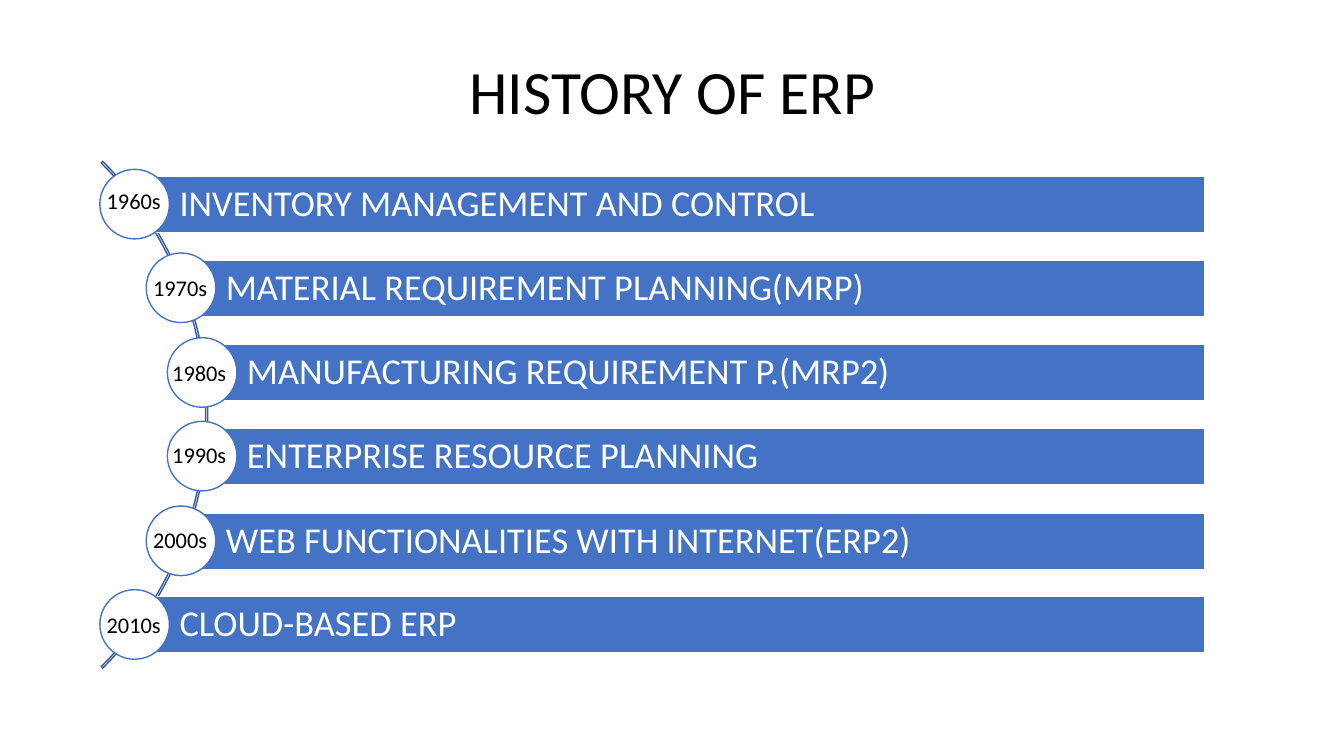
import pptx
import pptx.util
import pptx.dml.color
import pptx.enum.shapes
import pptx.enum.text

PX = 9144  # EMU per px, 100 px to the inch
KIND = pptx.enum.shapes.MSO_SHAPE
ALIGN = pptx.enum.text.PP_ALIGN
MIDDLE = pptx.enum.text.MSO_ANCHOR.MIDDLE
TOP = pptx.enum.text.MSO_ANCHOR.TOP
THEME = {
    "font": "Calibri",
    "blue": pptx.dml.color.RGBColor.from_string("4472C4"),
    "navy": pptx.dml.color.RGBColor.from_string("365B9D"),
    "white": pptx.dml.color.RGBColor.from_string("FFFFFF"),
    "black": pptx.dml.color.RGBColor.from_string("000000"),
    "title": 44,
    "body": 26,
    "year": 16,
}

deck = pptx.Presentation()
deck.slide_width = 1333 * PX
deck.slide_height = 750 * PX
slide = deck.slides.add_slide(deck.slide_layouts[6])


def draw(kind, box, fill, line):
    shape = slide.shapes.add_shape(kind, *[n * PX for n in box])
    shape.shadow.inherit = False
    if fill:
        shape.fill.solid()
        shape.fill.fore_color.rgb = THEME[fill]
    else:
        shape.fill.background()
    shape.line.color.rgb = THEME[line]
    shape.line.width = pptx.util.Pt(1)
    return shape


def write(shape, text, size, color, align=ALIGN.LEFT, anchor=MIDDLE, space=0.9):
    frame = shape.text_frame
    frame.word_wrap = True
    frame.vertical_anchor = anchor
    para = frame.paragraphs[0]
    para.alignment = align
    para.line_spacing = space
    run = para.add_run()
    run.text = text
    run.font.name = THEME["font"]
    run.font.size = pptx.util.Pt(THEME[size])
    run.font.color.rgb = THEME[color]
    return frame


title = slide.shapes.add_textbox(92 * PX, 40 * PX, 1150 * PX, 108 * PX)
write(title, "HISTORY OF ERP", "title", "black", ALIGN.CENTER)

arc = draw(KIND.BLOCK_ARC, (-505, 56, 711, 711), None, "navy")
for i, value in enumerate((189, 27, 0.003)):
    arc.adjustments[i] = value

# Year, stage, left edge of the bar, left and top of the year label
STAGES = [
    ("1960s", "INVENTORY MANAGEMENT AND CONTROL", 134, 96, 181),
    ("1970s", "MATERIAL REQUIREMENT PLANNING(MRP)", 180, 142, 267),
    ("1980s", "MANUFACTURING REQUIREMENT P.(MRP2)", 201, 161, 351),
    ("1990s", "ENTERPRISE RESOURCE PLANNING", 201, 161, 433),
    ("2000s", "WEB FUNCTIONALITIES WITH INTERNET(ERP2)", 180, 142, 517),
    ("2010s", "CLOUD-BASED ERP", 134, 96, 601),
]
FIRST, LAST = 175, 592
RIGHT = 1195

for i, (year, stage, left, x, y) in enumerate(STAGES):
    top = FIRST + round(i * (LAST - FIRST) / (len(STAGES) - 1))
    bar = draw(KIND.RECTANGLE, (left, top, RIGHT - left, 56), "blue", "white")
    frame = write(bar, stage, "body", "white")
    frame.margin_left = 44 * PX
    frame.margin_right = frame.margin_top = frame.margin_bottom = 7 * PX
    draw(KIND.OVAL, (left - 35, top - 7, 69, 69), "white", "blue")
    label = slide.shapes.add_textbox(x * PX, y * PX, 74 * PX, 37 * PX)
    frame = write(label, year, "year", "black", anchor=TOP, space=1.0)
    frame.word_wrap = False

deck.save("out.pptx")
